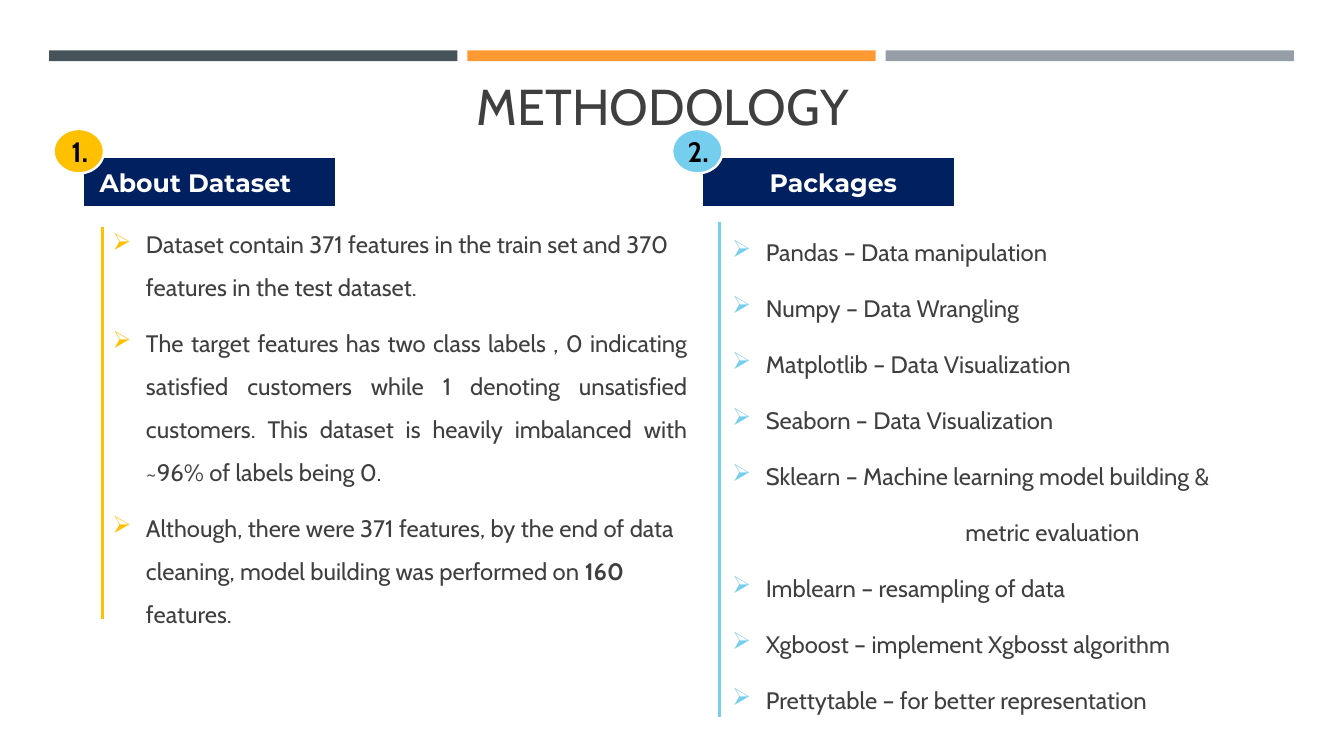
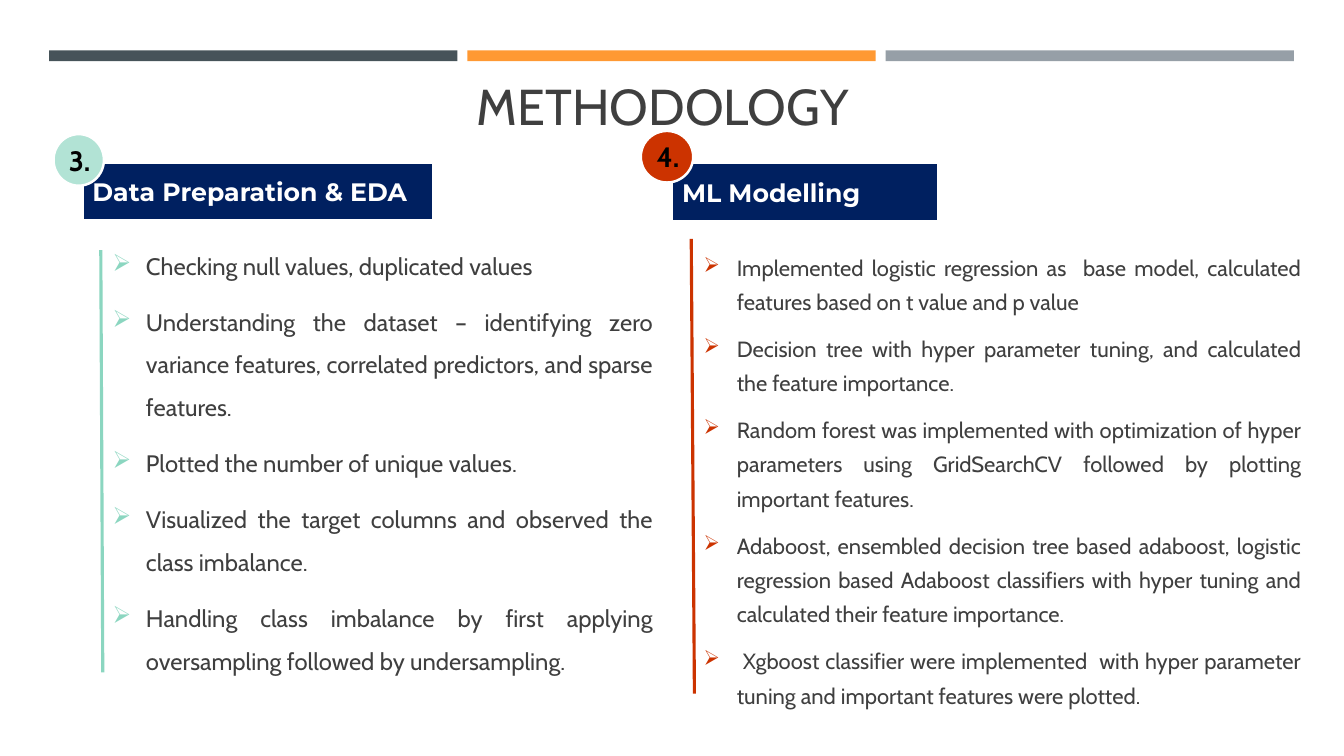
import pptx
from pptx.dml.color import RGBColor
from pptx.enum.shapes import MSO_CONNECTOR, MSO_SHAPE
from pptx.enum.text import MSO_ANCHOR, PP_ALIGN
from pptx.oxml.ns import qn
from pptx.util import Cm
from lxml import etree

SLATE = RGBColor(0x46, 0x53, 0x59)
ORANGE = RGBColor(0xFF, 0x99, 0x33)
GREY = RGBColor(0x96, 0x9F, 0xA7)
NAVY = RGBColor(0x00, 0x20, 0x60)
WHITE = RGBColor(0xFF, 0xFF, 0xFF)
BLACK = RGBColor(0x00, 0x00, 0x00)
TEXT = RGBColor(0x3F, 0x3F, 0x3F)
GOLD = RGBColor(0xFF, 0xC0, 0x00)
SKY = RGBColor(0x76, 0xCE, 0xEF)
PALE_MINT = RGBColor(0xB2, 0xE3, 0xD5)
MINT = RGBColor(0x8B, 0xD6, 0xC0)
RED = RGBColor(0xCC, 0x33, 0x00)

BODY_FONT = "Cabin"
HEADING_FONT = "Montserrat"
BULLET_FONT = "Wingdings"
ARROW_BULLET = "Ø"
LEFT, CENTER, JUSTIFY = PP_ALIGN.LEFT, PP_ALIGN.CENTER, PP_ALIGN.JUSTIFY
BULLET_INDENT = 0.84
CONTINUATION_INDENT = 5.87

TITLE = "METHODOLOGY"
STRIPES = [SLATE, ORANGE, GREY]
STRIPE_LEFT, STRIPE_TOP, STRIPE_WIDTH, STRIPE_HEIGHT, STRIPE_GAP = 1.24, 1.27, 10.29, 0.27, 0.25

ROOMY = {"size": 17, "line_spacing": 1.5, "space_before": 9.4, "bullet_percent": 100}
COMPACT = {"size": 15.7, "line_spacing": 1.3, "space_before": 9.1, "bullet_percent": 95}

DATASET = {
    "number": "1.", "heading": "About Dataset", "heading_align": LEFT, "heading_inset": 0.43,
    "badge_color": GOLD, "accent": GOLD, "style": ROOMY,
    "band": (2.08, 3.96, 6.4, 1.27), "badge": (1.35, 3.25, 1.27, 1.12),
    "body": (2.59, 5.69, 14.99, 9.88), "rule": (2.59, 5.72, 2.59, 15.6),
    "items": [
        (LEFT, "Dataset contain 371 features in the train set and 370 features in the test dataset."),
        (JUSTIFY, "The target features has two class labels , 0 indicating satisfied customers while 1 "
                  "denoting unsatisfied customers. This dataset is heavily imbalanced with ~96% of "
                  "labels being 0."),
        (LEFT, "Although, there were 371 features, by the end of data cleaning, model building was "
               "performed on **160 **features."),
    ],
}
PACKAGES = {
    "number": "2.", "heading": "Packages", "heading_align": CENTER, "heading_inset": 0.25,
    "badge_color": SKY, "accent": SKY, "style": ROOMY,
    "band": (17.68, 3.96, 6.4, 1.27), "badge": (16.94, 3.25, 1.27, 1.12),
    "body": (18.21, 5.28, 15.6, 13.06), "rule": (18.14, 5.59, 18.14, 18.08),
    "items": [
        (LEFT, "Pandas – Data manipulation"),
        (LEFT, "Numpy – Data Wrangling"),
        (LEFT, "Matplotlib – Data Visualization"),
        (LEFT, "Seaborn – Data Visualization"),
        (LEFT, "Sklearn – Machine learning model building &"),
        (None, "metric evaluation"),
        (LEFT, "Imblearn – resampling of data"),
        (LEFT, "Xgboost – implement Xgbosst algorithm"),
        (LEFT, "Prettytable – for better representation"),
    ],
}
PREPARATION = {
    "number": "3.", "heading": "Data Preparation & EDA", "heading_align": LEFT, "heading_inset": 0.25,
    "badge_color": PALE_MINT, "accent": MINT, "style": ROOMY,
    "band": (2.08, 4.09, 8.84, 1.47), "badge": (1.35, 3.38, 1.27, 1.3),
    "body": (2.59, 4.8, 14.12, 13.39), "rule": (2.54, 6.3, 2.59, 16.94),
    "items": [
        (LEFT, "Checking null values, duplicated values"),
        (JUSTIFY, "Understanding the dataset – identifying zero variance features, correlated "
                  "predictors, and sparse features."),
        (JUSTIFY, "Plotted the number of unique values."),
        (JUSTIFY, "Visualized the target columns and observed the class imbalance."),
        (JUSTIFY, "Handling class imbalance by first applying oversampling followed by undersampling."),
    ],
}
MODELLING = {
    "number": "4.", "heading": "ML Modelling", "heading_align": LEFT, "heading_inset": 0.25,
    "badge_color": RED, "accent": RED, "style": COMPACT,
    "band": (16.94, 4.11, 6.71, 1.47), "badge": (16.15, 3.3, 1.32, 1.3),
    "body": (17.48, 6.2, 15.57, 11.66), "rule": (17.42, 6.02, 17.5, 17.48),
    "items": [
        (JUSTIFY, "Implemented logistic regression as  base model, calculated features based on "
                  "t value and p value"),
        (JUSTIFY, "Decision tree with hyper parameter tuning, and calculated the feature importance."),
        (JUSTIFY, "Random forest was implemented with optimization of hyper parameters using "
                  "GridSearchCV followed by plotting important features."),
        (JUSTIFY, "Adaboost, ensembled decision tree based adaboost, logistic regression based "
                  "Adaboost classifiers with hyper tuning and calculated their feature importance."),
        (JUSTIFY, " Xgboost classifier were implemented  with hyper parameter tuning and important "
                  "features were plotted."),
    ],
}
SLIDES = [(DATASET, PACKAGES), (PREPARATION, MODELLING)]


def set_font(paragraph, name, size, color, bold=False):
    font = paragraph.font
    font.name = name
    font.size = pptx.util.Pt(size)
    font.color.rgb = color
    font.bold = bold


def add_filled_shape(slide, kind, box, color, outlined=False):
    shape = slide.shapes.add_shape(kind, *map(Cm, box))
    shape.shadow.inherit = False
    shape.fill.solid()
    shape.fill.fore_color.rgb = color
    if outlined:
        shape.line.color.rgb = WHITE
        shape.line.width = pptx.util.Pt(1.75)
    else:
        shape.line.fill.background()
    return shape


def add_text_box(slide, box, anchor):
    frame = slide.shapes.add_textbox(*map(Cm, box)).text_frame
    frame.word_wrap = True
    frame.vertical_anchor = anchor
    return frame


def write_label(shape, text, align, inset, font_name, size, color):
    frame = shape.text_frame
    frame.margin_left = Cm(inset)
    frame.margin_right = frame.margin_top = frame.margin_bottom = 0
    frame.vertical_anchor = MSO_ANCHOR.MIDDLE
    paragraph = frame.paragraphs[0]
    paragraph.text = text
    paragraph.alignment = align
    set_font(paragraph, font_name, size, color, bold=True)


def set_bullet(paragraph, color, percent):
    properties = paragraph._p.get_or_add_pPr()
    properties.set("marL", str(Cm(BULLET_INDENT)))
    properties.set("indent", str(-Cm(BULLET_INDENT)))
    bullet_color = etree.SubElement(properties, qn("a:buClr"))
    etree.SubElement(bullet_color, qn("a:srgbClr"), val=str(color))
    etree.SubElement(properties, qn("a:buSzPct"), val=str(percent * 1000))
    etree.SubElement(properties, qn("a:buFont"), typeface=BULLET_FONT, pitchFamily="2", charset="2")
    etree.SubElement(properties, qn("a:buChar"), char=ARROW_BULLET)


def write_item(paragraph, align, text, style, accent, first):
    paragraph.alignment = align or LEFT
    paragraph.line_spacing = style["line_spacing"]
    paragraph.space_before = pptx.util.Pt(0 if first else style["space_before"])
    if align is None:
        paragraph._p.get_or_add_pPr().set("marL", str(Cm(CONTINUATION_INDENT)))
    else:
        set_bullet(paragraph, accent, style["bullet_percent"])
    set_font(paragraph, BODY_FONT, style["size"], TEXT)
    for index, part in enumerate(text.split("**")):
        run = paragraph.add_run()
        run.text = part
        if index % 2:
            run.font.bold = True


def add_rule(slide, ends, color):
    rule = slide.shapes.add_connector(MSO_CONNECTOR.STRAIGHT, *map(Cm, ends))
    rule.line.color.rgb = color
    rule.line.width = pptx.util.Pt(2.25)
    etree.SubElement(rule._element.spPr, qn("a:effectLst"))


def add_panel(slide, panel):
    band = add_filled_shape(slide, MSO_SHAPE.RECTANGLE, panel["band"], NAVY, outlined=True)
    write_label(band, panel["heading"], panel["heading_align"], panel["heading_inset"],
                HEADING_FONT, 18, WHITE)
    badge = add_filled_shape(slide, MSO_SHAPE.OVAL, panel["badge"], panel["badge_color"], outlined=True)
    write_label(badge, panel["number"], CENTER, 0.05, BODY_FONT, 20, BLACK)
    frame = add_text_box(slide, panel["body"], MSO_ANCHOR.MIDDLE)
    for index, (align, text) in enumerate(panel["items"]):
        paragraph = frame.add_paragraph() if index else frame.paragraphs[0]
        write_item(paragraph, align, text, panel["style"], panel["accent"], index == 0)
    add_rule(slide, panel["rule"], panel["accent"])


def add_header(slide):
    for index, color in enumerate(STRIPES):
        left = STRIPE_LEFT + index * (STRIPE_WIDTH + STRIPE_GAP)
        box = (left, STRIPE_TOP, STRIPE_WIDTH, STRIPE_HEIGHT)
        add_filled_shape(slide, MSO_SHAPE.RECTANGLE, box, color)
    paragraph = add_text_box(slide, (1.3, 1.63, 30.81, 1.9), MSO_ANCHOR.BOTTOM).paragraphs[0]
    paragraph.text = TITLE
    paragraph.alignment = CENTER
    set_font(paragraph, BODY_FONT, 36, TEXT)


def main():
    presentation = pptx.Presentation()
    presentation.slide_width = Cm(33.87)
    presentation.slide_height = Cm(19.05)
    for panels in SLIDES:
        slide = presentation.slides.add_slide(presentation.slide_layouts[6])
        add_header(slide)
        for panel in panels:
            add_panel(slide, panel)
    presentation.save("out.pptx")


if __name__ == "__main__":
    main()
